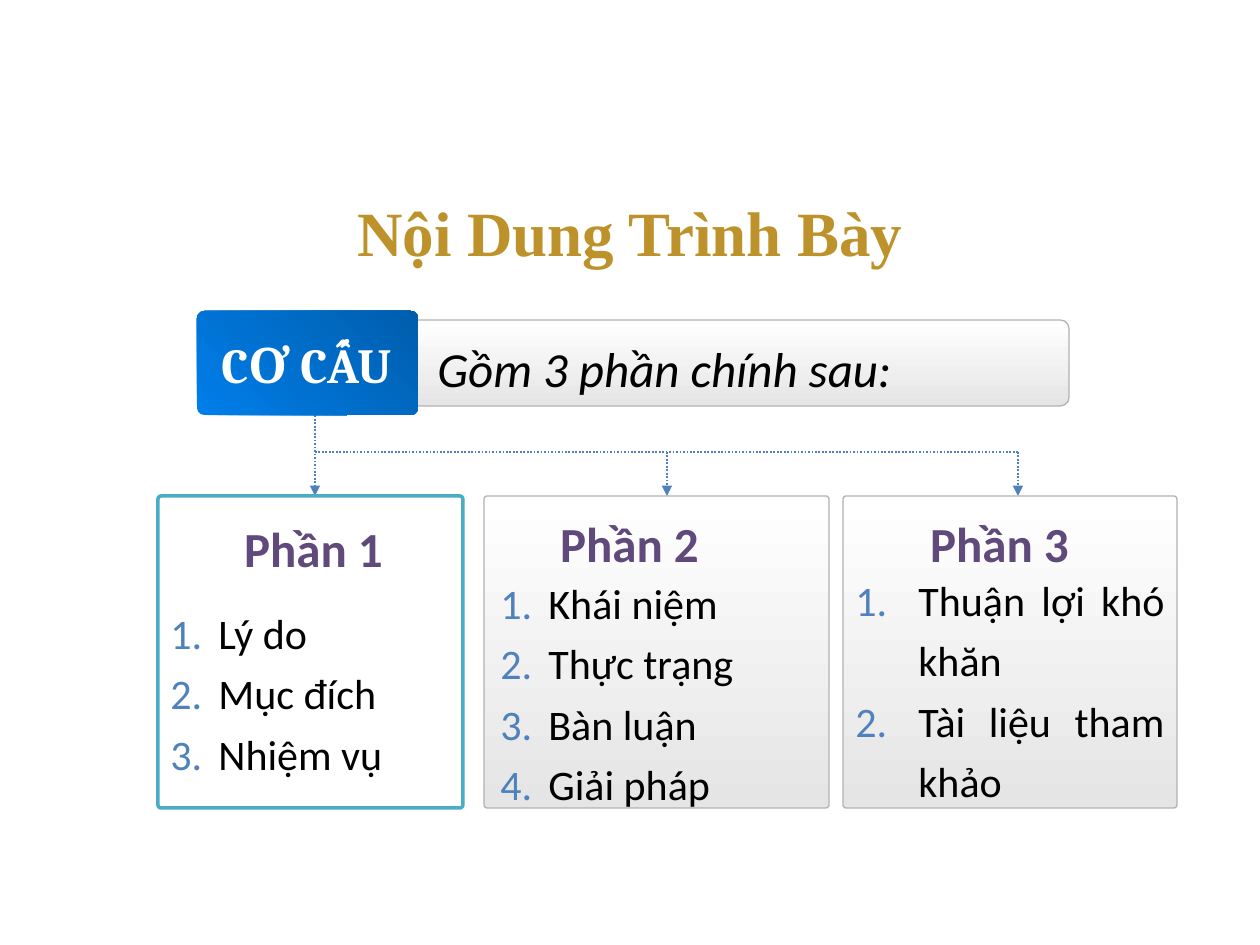
from dataclasses import dataclass

from lxml import etree
from pptx import Presentation
from pptx import util as u
from pptx.dml.color import RGBColor
from pptx.enum import dml, shapes, text
from pptx.oxml import ns

EMU_PER_PX = 914400 / 126


def px(length):
    return u.Emu(round(length * EMU_PER_PX))


@dataclass(frozen=True)
class Theme:
    gold: str = "BD922A"
    purple: str = "604A7B"
    blue: str = "4F81BD"
    teal: str = "4BACC6"
    gray: str = "B2B2B2"
    white: str = "FFFFFF"
    black: str = "000000"
    silver_blend: tuple = ("FFFFFF", "E5E5E5")
    blue_blend: tuple = ("007EEA", "005EAC")
    body: str = "Calibri"
    label: str = "Cambria"
    display: str = "Times New Roman"
    title_size: int = 36
    heading_size: int = 28
    item_size: int = 24


class SlideBuilder:
    def __init__(self, slide, theme):
        self.slide = slide
        self.theme = theme

    def panel(self, box, radius, fill, line=None, width=0.75, angle=270):
        panel = self.slide.shapes.add_shape(
            shapes.MSO_SHAPE.ROUNDED_RECTANGLE, *map(px, box))
        panel.adjustments[0] = radius
        panel.shadow.inherit = False
        if isinstance(fill, tuple):
            panel.fill.gradient()
            panel.fill.gradient_angle = angle
            for stop, position, color in zip(panel.fill.gradient_stops, (0, 1), fill):
                stop.position = position
                stop.color.rgb = RGBColor.from_string(color)
        else:
            panel.fill.solid()
            panel.fill.fore_color.rgb = RGBColor.from_string(fill)
        if line:
            panel.line.color.rgb = RGBColor.from_string(line)
            panel.line.width = u.Pt(width)
        else:
            panel.line.fill.background()

    def connector(self, start, end, arrow=True):
        link = self.slide.shapes.add_connector(
            shapes.MSO_CONNECTOR.STRAIGHT, *map(px, start + end))
        link.line.color.rgb = RGBColor.from_string(self.theme.blue)
        link.line.width = u.Pt(1)
        link.line.dash_style = dml.MSO_LINE.ROUND_DOT
        if arrow:
            etree.SubElement(link.line._get_or_add_ln(), ns.qn("a:tailEnd"), type="triangle")
        etree.SubElement(link._element.spPr, ns.qn("a:effectLst"))

    def words(self, box, lines, size, color, font=None, bold=False, italic=False,
              align=text.PP_ALIGN.LEFT, spacing=1.2, wrap=True, middle=False):
        holder = self.slide.shapes.add_textbox(*map(px, box))
        frame = holder.text_frame
        frame.word_wrap = wrap
        if middle:
            frame.vertical_anchor = text.MSO_ANCHOR.MIDDLE
        else:
            frame.auto_size = text.MSO_AUTO_SIZE.SHAPE_TO_FIT_TEXT
        frame.text = "\n".join(lines)
        for paragraph in frame.paragraphs:
            paragraph.alignment = align
            paragraph.line_spacing = spacing
            paragraph.font.name = font or self.theme.body
            paragraph.font.size = u.Pt(size)
            paragraph.font.bold = bold
            paragraph.font.italic = italic
            paragraph.font.color.rgb = RGBColor.from_string(color)
        return frame

    def heading(self, box, caption):
        self.words(box, [caption], self.theme.heading_size, self.theme.purple,
                   bold=True, align=text.PP_ALIGN.CENTER)

    def numbered(self, box, items, indent):
        frame = self.words(box, items, self.theme.item_size, self.theme.black,
                           align=text.PP_ALIGN.JUSTIFY)
        for paragraph in frame.paragraphs:
            props = paragraph._p.get_or_add_pPr()
            props.set("marL", str(px(indent)))
            props.set("indent", str(-px(indent)))
            number = etree.Element(ns.qn("a:buAutoNum"), type="arabicPeriod")
            tint = etree.Element(ns.qn("a:buClr"))
            etree.SubElement(tint, ns.qn("a:srgbClr"), val=self.theme.blue)
            default_run = props.find(ns.qn("a:defRPr"))
            default_run.addprevious(tint)
            default_run.addprevious(number)


def main():
    theme = Theme()
    deck = Presentation()
    deck.slide_width, deck.slide_height = px(1260), px(945)
    page = SlideBuilder(deck.slides.add_slide(deck.slide_layouts[6]), theme)

    plate_bottom, branch_y, part_top, part_height = 412, 452, 496, 312
    branch_xs = (315, 667, 1018)
    for x, top in zip(branch_xs, (plate_bottom, branch_y, branch_y)):
        page.connector((x, top), (x, part_top))
    page.connector((branch_xs[0], branch_y), (branch_xs[-1], branch_y), arrow=False)

    page.panel((384, 320, 685, 86), 0.1, theme.silver_blend, theme.gray)
    page.panel((197, 311, 221, 104), 0.07, theme.blue_blend, angle=45)
    page.words((425, 321, 615, 84), ["Gồm 3 phần chính sau:"],
               theme.heading_size, theme.black, italic=True)
    page.words((209, 328, 195, 72), ["CƠ CẤU"], theme.heading_size, theme.white,
               font=theme.label, bold=True, spacing=1.0, wrap=False)
    page.words((84, 179, 1092, 105), ["Nội Dung Trình Bày"], theme.title_size, theme.gold,
               font=theme.display, bold=True, align=text.PP_ALIGN.CENTER,
               spacing=1.0, middle=True)

    silver = (theme.silver_blend, theme.gray, 0.75)
    parts = (
        ("Phần 1", 158, 305, (theme.white, theme.teal, 2), (177, 501),
         (158, 591, 273, 192), 48, ("Lý do", "Mục đích", "Nhiệm vụ")),
        ("Phần 2", 484, 345, silver, (493, 496),
         (488, 561, 273, 253), 48, ("Khái niệm", "Thực trạng", "Bàn luận", "Giải pháp")),
        ("Phần 3", 843, 334, silver, (863, 496),
         (843, 558, 334, 257), 63, ("Thuận lợi khó khăn", "Tài liệu tham khảo")),
    )
    for caption, left, width, look, heading_at, list_box, indent, items in parts:
        page.panel((left, part_top, width, part_height), 0.01, *look)
        page.heading(heading_at + (273, 79), caption)
        page.numbered(list_box, items, indent)

    deck.save("out.pptx")


if __name__ == "__main__":
    main()
